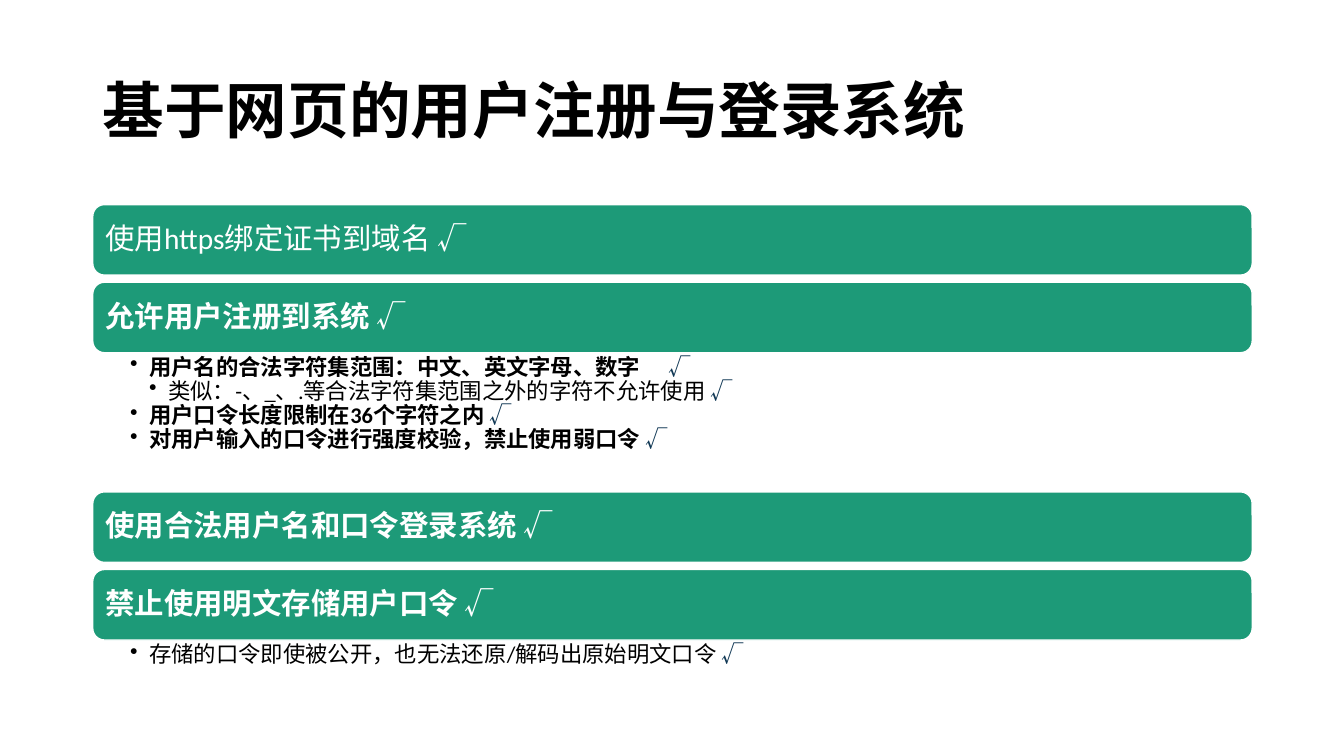
from dataclasses import dataclass

from lxml.etree import SubElement
from pptx import Presentation
from pptx.dml.color import RGBColor
from pptx.enum.shapes import MSO_SHAPE as Shape
from pptx.enum.text import MSO_ANCHOR as Anchor, PP_ALIGN as Align
from pptx.oxml.ns import qn
from pptx.util import Inches, Length, Pt

BLACK, WHITE, GREEN, NAVY = "000000", "FFFFFF", "1D9A78", "0F3754"
LEFT, WIDTH = Inches(0.92), Inches(11.5)
BAR_HEIGHT, BAR_GAP = Inches(0.7), Inches(0.07)
BULLET_INDENT = Inches(0.19)


@dataclass
class Detail:
    text: str
    bold: bool = False
    level: int = 1
    check_gap: int = 0  # extra points before the check mark


@dataclass
class Requirement:
    text: str
    bold: bool = True
    details: tuple[Detail, ...] = ()
    details_height: Length = BAR_GAP


REQUIREMENTS = [
    Requirement("使用https绑定证书到域名", bold=False),
    Requirement("允许用户注册到系统", details_height=Inches(1.38), details=(
        Detail("用户名的合法字符集范围：中文、英文字母、数字", bold=True, check_gap=16),
        Detail("类似：-、_、.等合法字符集范围之外的字符不允许使用", level=2),
        Detail("用户口令长度限制在36个字符之内", bold=True),
        Detail("对用户输入的口令进行强度校验，禁止使用弱口令", bold=True),
    )),
    Requirement("使用合法用户名和口令登录系统"),
    Requirement("禁止使用明文存储用户口令", details_height=Inches(0.38), details=(
        Detail("存储的口令即使被公开，也无法还原/解码出原始明文口令"),
    )),
]


def color(value: str) -> RGBColor:
    return RGBColor.from_string(value)


def add_run(paragraph, text: str, font: str, size: int, fill: str, bold: bool = False):
    run = paragraph.add_run()
    run.text = text
    run.font.name, run.font.size, run.font.bold = font, Pt(size), bold
    run.font.color.rgb = color(fill)
    return run


def add_checked_text(paragraph, text: str, size: int, fill: str, check_fill: str,
                     bold: bool, check_gap: int = 0) -> None:
    paragraph.alignment, paragraph.line_spacing = Align.LEFT, 0.9
    add_run(paragraph, text, "Calibri", size, fill, bold)
    space = add_run(paragraph, " ", "Calibri", size, fill, bold)
    if check_gap:
        space.font._element.set("spc", str(check_gap * 100))
    add_run(paragraph, "√", "Roboto", size, check_fill)


def set_frame(frame, anchor: Anchor, left: float, top: float, right: float) -> None:
    frame.word_wrap, frame.vertical_anchor = True, anchor
    frame.margin_left, frame.margin_right = Inches(left), Inches(right)
    frame.margin_top = frame.margin_bottom = Inches(top)


def add_bar(slide, top: Length, requirement: Requirement) -> None:
    bar = slide.shapes.add_shape(Shape.ROUNDED_RECTANGLE, LEFT, top, WIDTH, BAR_HEIGHT)
    bar.shadow.inherit = False
    bar.fill.solid()
    bar.fill.fore_color.rgb = color(GREEN)
    bar.line.color.rgb, bar.line.width = color(WHITE), Pt(1)
    set_frame(bar.text_frame, Anchor.MIDDLE, 0.09, 0.09, 0.09)
    add_checked_text(bar.text_frame.paragraphs[0], requirement.text, 21, WHITE, WHITE,
                     requirement.bold)


def add_details(slide, top: Length, requirement: Requirement) -> None:
    frame = slide.shapes.add_textbox(LEFT, top, WIDTH, requirement.details_height).text_frame
    set_frame(frame, Anchor.TOP, 0.37, 0.03, 0.16)
    for index, detail in enumerate(requirement.details):
        paragraph = frame.add_paragraph() if index else frame.paragraphs[0]
        paragraph.level = detail.level
        add_checked_text(paragraph, detail.text, 16, BLACK, NAVY, detail.bold,
                         detail.check_gap)
        # Hanging bullet
        properties = paragraph._p.get_or_add_pPr()
        properties.set("marL", str(BULLET_INDENT * detail.level))
        properties.set("indent", str(-BULLET_INDENT))
        SubElement(properties, qn("a:buChar"), char="•")


presentation = Presentation()
presentation.slide_width, presentation.slide_height = Inches(13.33), Inches(7.5)
slide = presentation.slides.add_slide(presentation.slide_layouts[6])

# Title
title = slide.shapes.add_textbox(LEFT, Inches(0.4), WIDTH, Inches(1.45)).text_frame
set_frame(title, Anchor.MIDDLE, 0.1, 0.05, 0.1)
title.paragraphs[0].line_spacing = 0.9
add_run(title.paragraphs[0], "基于网页的用户注册与登录系统", "Calibri", 44, BLACK, True)

# Requirement bars, each followed by its details or a gap
top = Inches(2.03)
for requirement in REQUIREMENTS:
    add_bar(slide, top, requirement)
    top += BAR_HEIGHT
    if requirement.details:
        add_details(slide, top, requirement)
    top += requirement.details_height

presentation.save("out.pptx")
